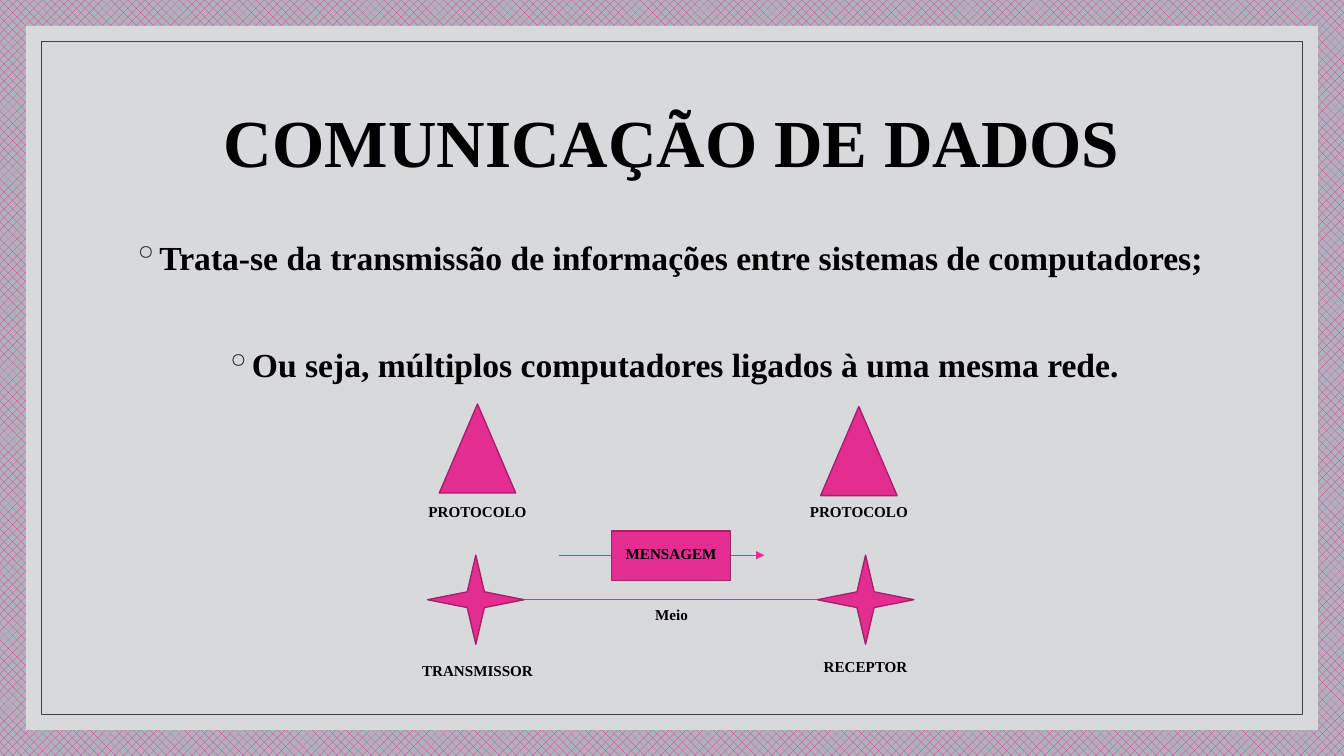
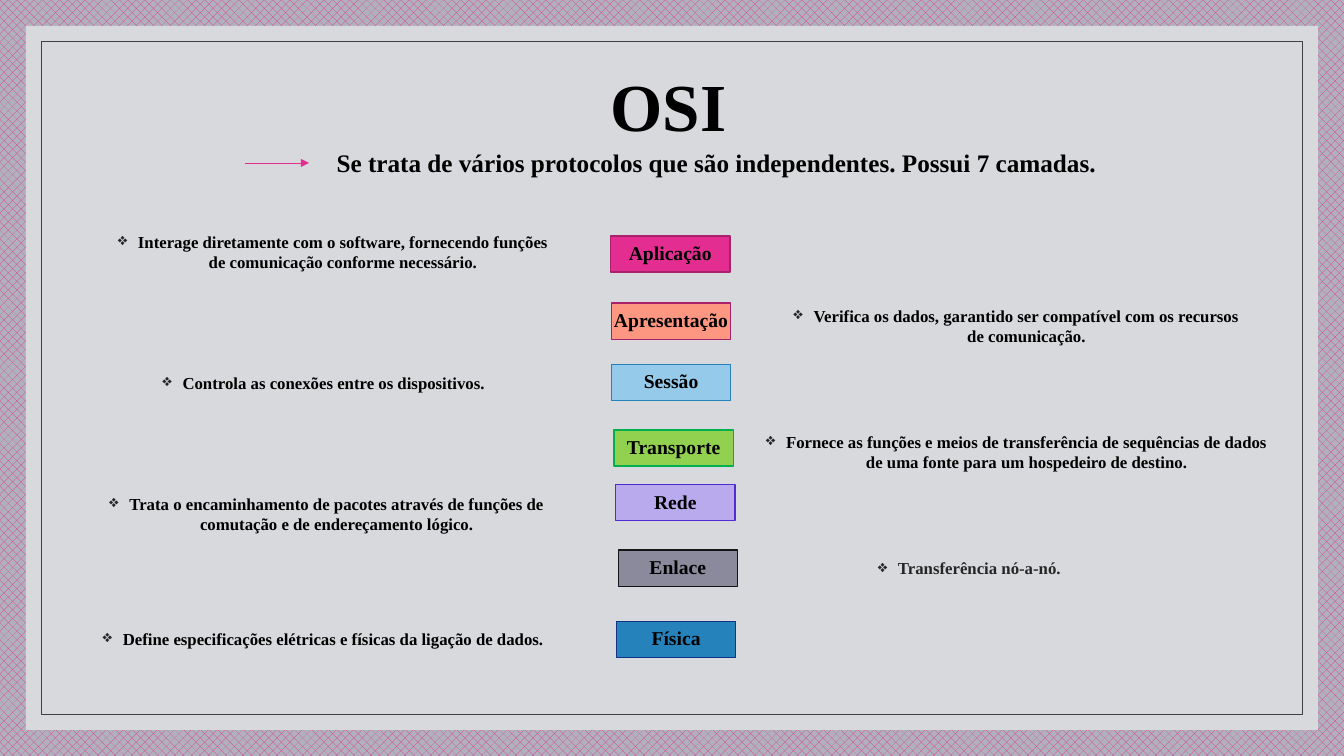
from dataclasses import dataclass

from lxml import etree
from pptx import Presentation
from pptx import util as u
from pptx.dml.color import RGBColor
from pptx.enum import dml, shapes, text
from pptx.oxml.ns import qn

COLS, ROWS = 160, 90
CELL = u.Inches(1) // 12  # square grid cell
FONT = "Times New Roman"
PINK, PLUM, BLACK, CHARCOAL = "E32D91", "A8216B", "000000", "262626"
BACKDROP, CARD, FRAME = "B1B1BD", "D8D9DC", "404040"
SHAPE = shapes.MSO_SHAPE


@dataclass(frozen=True)
class Box:
    """A rectangle in grid columns and rows."""
    x: float
    y: float
    w: float
    h: float

    def emu(self) -> list[int]:
        return [cells(n) for n in (self.x, self.y, self.w, self.h)]


@dataclass(frozen=True)
class Station:
    """One end of the communication line."""
    triangle: Box
    star: Box
    role: str
    role_at: Box
    protocol_at: Box


@dataclass(frozen=True)
class Layer:
    name: str
    x: float
    y: float
    fill: str
    line: str
    note: str
    note_at: Box
    color: str = BLACK
    spacing: float = 1.0


def cells(n: float) -> int:
    return round(n * CELL)


def paint(target, color: str) -> None:
    """Give a fill or line format a solid colour."""
    fill = target if hasattr(target, "solid") else target.fill
    fill.solid()
    fill.fore_color.rgb = RGBColor.from_string(color)


def add_bullet(p, char: str) -> None:
    pPr = p._p.get_or_add_pPr()
    indent = u.Inches(0.2)
    pPr.set("marL", str(indent))
    pPr.set("indent", str(-indent))
    clr = etree.SubElement(pPr, qn("a:buClr"))
    etree.SubElement(clr, qn("a:srgbClr"), val=CHARCOAL)
    etree.SubElement(pPr, qn("a:buChar"), char=char)


def write(tf, *lines: str, size: float, color: str = BLACK, spacing: float = 1.0,
          before: float = 0, bullet: str = "", middle: bool = False) -> None:
    """Fill a text frame with centred bold paragraphs."""
    tf.word_wrap = True
    tf.vertical_anchor = text.MSO_ANCHOR.MIDDLE if middle else text.MSO_ANCHOR.TOP
    for i, line in enumerate(lines):
        p = tf.add_paragraph() if i else tf.paragraphs[0]
        p.alignment = text.PP_ALIGN.CENTER
        p.line_spacing = spacing
        p.space_before = u.Pt(before)
        if bullet:
            add_bullet(p, bullet)
        r = p.add_run()
        r.text = line
        r.font.name, r.font.size, r.font.bold = FONT, u.Pt(size), True
        paint(r.font.fill, color)


def add_text(s, box: Box, *lines: str, **fmt) -> None:
    write(s.shapes.add_textbox(*box.emu()).text_frame, *lines, **fmt)


def add_shape(s, kind, box: Box, fill: str = "", line: str = "", width: float = 1):
    sp = s.shapes.add_shape(kind, *box.emu())
    sp.shadow.inherit = False
    if fill:
        paint(sp.fill, fill)
    else:
        sp.fill.background()
    if line:
        paint(sp.line, line)
        sp.line.width = u.Pt(width)
    else:
        sp.line.fill.background()
    return sp


def add_label_box(s, box: Box, label: str, fill: str, line: str, **fmt) -> None:
    tf = add_shape(s, SHAPE.RECTANGLE, box, fill, line).text_frame
    tf.margin_left = tf.margin_right = tf.margin_top = tf.margin_bottom = 0
    write(tf, label, middle=True, **fmt)


def add_line(s, x1: float, x2: float, y: float, arrow: bool = True) -> None:
    """Draw a horizontal pink line, with an arrowhead at x2 unless told not to."""
    c = s.shapes.add_connector(shapes.MSO_CONNECTOR.STRAIGHT,
                               cells(x1), cells(y), cells(x2), cells(y))
    paint(c.line, PINK)
    c.line.width = u.Pt(0.5)
    spPr = c.element.spPr
    if arrow:
        etree.SubElement(spPr.find(qn("a:ln")), qn("a:tailEnd"), type="triangle")
    etree.SubElement(spPr, qn("a:effectLst"))


def inset(margin: float) -> Box:
    return Box(margin, margin, COLS - 2 * margin, ROWS - 2 * margin)


def add_slide(prs, title: str, x: float, y: float):
    """Add a blank slide with the framed card and a title."""
    s = prs.slides.add_slide(prs.slide_layouts[6])
    add_shape(s, SHAPE.RECTANGLE, inset(3.1), fill=CARD)
    add_shape(s, SHAPE.RECTANGLE, inset(4.9), line=FRAME, width=0.5)
    add_text(s, Box(x, y, 132, 18), title, size=48, spacing=0.9, middle=True)
    return s


def caption(x: float, y: float) -> Box:
    return Box(x, y, 22.1, 3)


def triangle(x: float, y: float) -> Box:
    return Box(x, y, 9.1, 10.6)


def star(x: float) -> Box:
    return Box(x, 66.1, 11.5, 10.6)


STATIONS = [
    Station(triangle(52.3, 48.1), star(50.9), "TRANSMISSOR",
            caption(45.8, 78.6), caption(45.8, 59.6)),
    Station(triangle(97.7, 48.4), star(97.3), "RECEPTOR",
            caption(92, 78.1), caption(91.2, 59.6)),
]

LAYERS = [
    Layer("Aplicação", 72.7, 28.1, PINK, PLUM,
          "Interage diretamente com o software, fornecendo funções de comunicação "
          "conforme necessário.", Box(11.8, 27, 55.7, 7.9)),
    Layer("Apresentação", 72.8, 36.1, "FE9782", PLUM,
          "Verifica os dados, garantido ser compatível com os recursos de comunicação.",
          Box(93.1, 35.8, 55.8, 3.5)),
    Layer("Sessão", 72.8, 43.4, "95CAEA", "2582BB",
          "Controla as conexões entre os dispositivos.", Box(10.7, 43.8, 55.7, 4.3)),
    Layer("Transporte", 73.1, 51.2, "92D050", "00B050",
          "Fornece as funções e meios de transferência de sequências de dados de uma "
          "fonte para um hospedeiro de destino.", Box(89, 50.8, 64.1, 7.8)),
    Layer("Rede", 73.3, 57.7, "B8AAED", "502CD1",
          "Trata o encaminhamento de pacotes através de funções de comutação e de "
          "endereçamento lógico.", Box(11, 58.2, 55.8, 8.2)),
    Layer("Enlace", 73.6, 65.5, "8A8A9C", "151517",
          "Transferência nó-a-nó.", Box(87.5, 66.1, 55.8, 3.5), CHARCOAL, 0.9),
    Layer("Física", 73.4, 74, "2582BB", "113386",
          "Define especificações elétricas e físicas da ligação de dados. ",
          Box(10.9, 74.5, 55.7, 4.3), spacing=0.9),
]


def build_communication(prs) -> None:
    s = add_slide(prs, "COMUNICAÇÃO DE DADOS", 14, 8.4)
    add_text(s, Box(14, 27.6, 132, 51.6),
             "Trata-se da transmissão de informações entre sistemas de computadores; ",
             "Ou seja, múltiplos computadores ligados à uma mesma rede.",
             size=24, before=48, bullet="◦")
    small = dict(size=10.8, spacing=0.7)
    for st in STATIONS:
        add_shape(s, SHAPE.ISOSCELES_TRIANGLE, st.triangle, PINK, PLUM)
        add_shape(s, SHAPE.STAR_4_POINT, st.star, PINK, PLUM)
        add_text(s, st.protocol_at, "PROTOCOLO", middle=True, **small)
        add_text(s, st.role_at, st.role, middle=True, **small)
    for x1, x2 in ((66.5, 74), (83.3, 91)):
        add_line(s, x1, x2, 66.1)
    add_label_box(s, Box(72.8, 63.2, 14.2, 5.9), "MENSAGEM", PINK, PLUM, **small)
    sender, receiver = (st.star for st in STATIONS)
    add_line(s, sender.x + sender.w, receiver.x, 71.4, arrow=False)
    add_text(s, caption(68.9, 71.9), "Meio", middle=True, **small)


def build_osi(prs) -> None:
    s = add_slide(prs, "OSI", 13.6, 4.1)
    add_line(s, 29.2, 36.8, 19.4)
    add_text(s, Box(19.3, 16.9, 132, 7.8),
             "Se trata de vários protocolos que são independentes. Possui 7 camadas.",
             size=18, before=9)
    for layer in LAYERS:
        add_label_box(s, Box(layer.x, layer.y, 14.2, 4.3), layer.name,
                      layer.fill, layer.line, size=14, spacing=0.9)
        add_text(s, layer.note_at, layer.note, size=12, color=layer.color,
                 spacing=layer.spacing, before=9, bullet="❖")


def main() -> None:
    prs = Presentation()
    prs.slide_width, prs.slide_height = cells(COLS), cells(ROWS)
    fill = prs.slide_master.background.fill
    fill.patterned()
    fill.pattern = dml.MSO_PATTERN.from_xml("pct40")
    fill.fore_color.rgb = RGBColor.from_string(PINK)
    fill.back_color.rgb = RGBColor.from_string(BACKDROP)
    build_communication(prs)
    build_osi(prs)
    prs.save("out.pptx")


if __name__ == "__main__":
    main()
